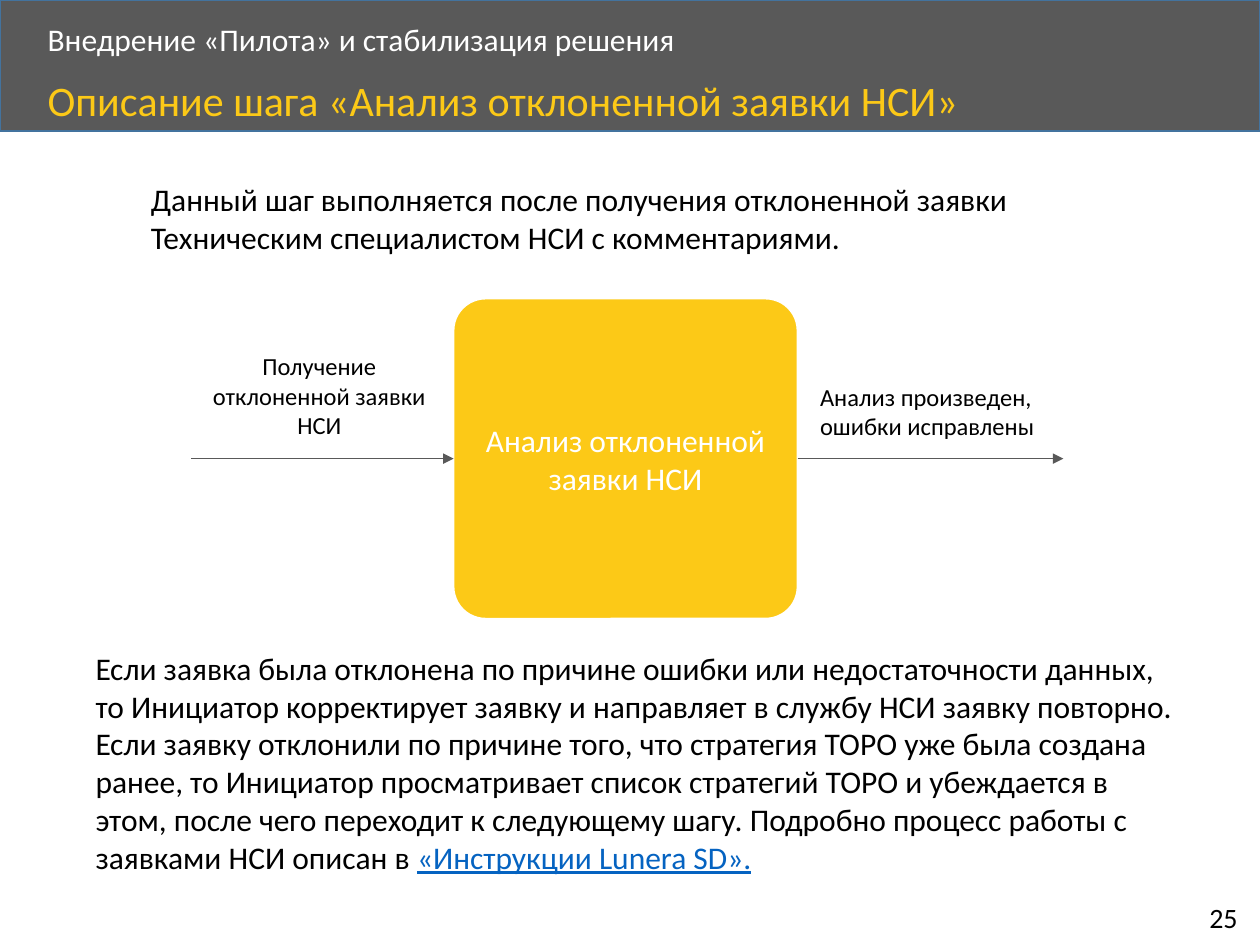
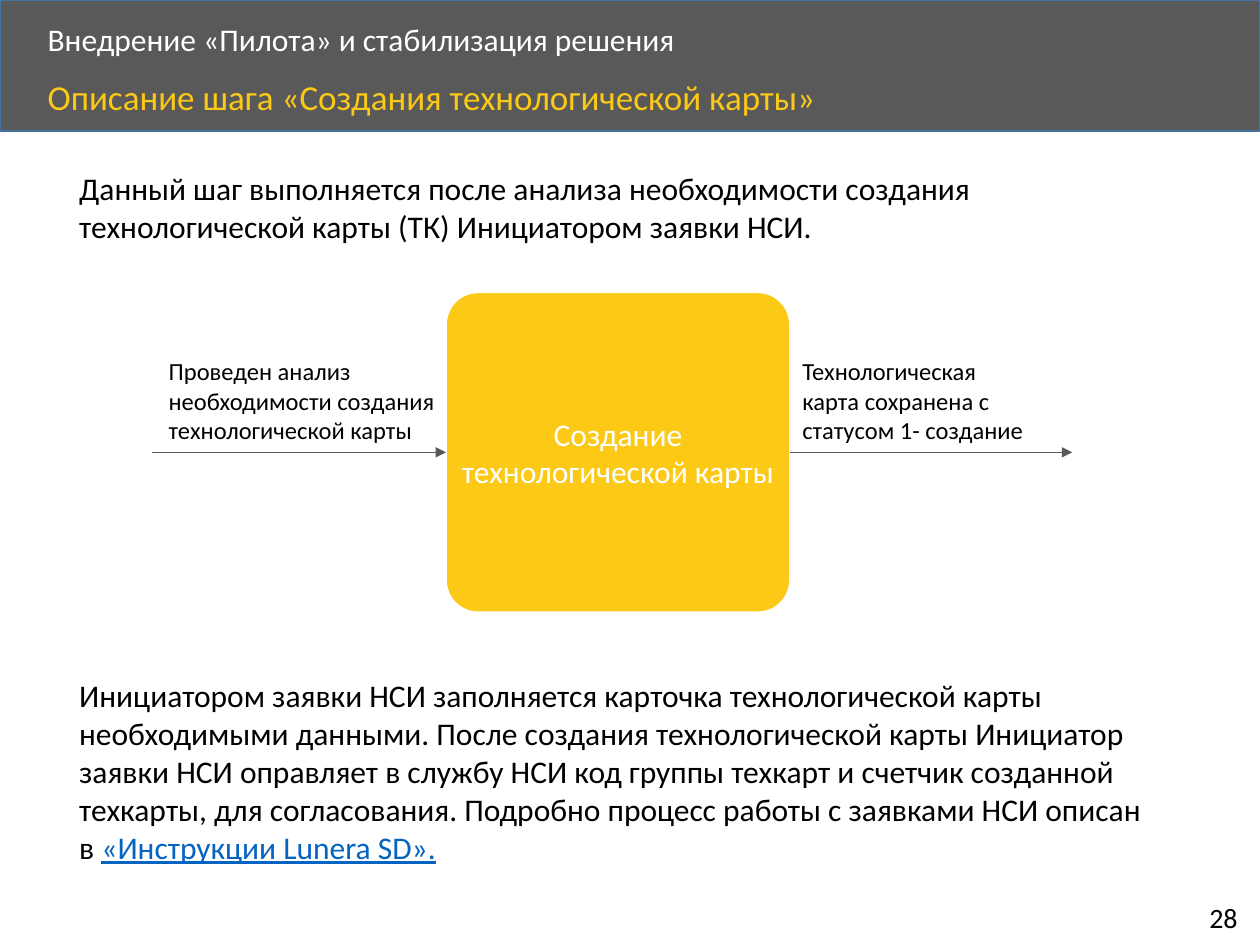
from lxml import etree
from pptx import Presentation
from pptx.dml.color import RGBColor
from pptx.enum.shapes import MSO_CONNECTOR, MSO_SHAPE
from pptx.enum.text import MSO_ANCHOR, PP_ALIGN
from pptx.oxml.ns import qn
from pptx.util import Inches, Pt

RECT, ROUNDED = MSO_SHAPE.RECTANGLE, MSO_SHAPE.ROUNDED_RECTANGLE
STRAIGHT = MSO_CONNECTOR.STRAIGHT
TOP, MIDDLE = MSO_ANCHOR.TOP, MSO_ANCHOR.MIDDLE
LEFT, CENTER = PP_ALIGN.LEFT, PP_ALIGN.CENTER

FONT = "Calibri"
GREY, YELLOW, WHITE, BLACK = "595959", "FCC917", "FFFFFF", "000000"
BORDER, LINK = "43739E", "0563C1"
SECTION = "Внедрение «Пилота» и стабилизация решения"
MANUAL = "«Инструкции Lunera SD»."
STEP_W, STEP_H = 2.73, 2.54


def rgb(color):
    return RGBColor.from_string(color)


def write(shape, text, size, color=BLACK, align=LEFT, anchor=TOP, spacing=None):
    tf = shape.text_frame
    tf.word_wrap = True
    tf.vertical_anchor = anchor
    tf.text = text
    p = tf.paragraphs[0]
    p.alignment = align
    p.line_spacing = spacing
    p.font.name = FONT
    p.font.size = Pt(size)
    p.runs[0].font.color.rgb = rgb(color)
    return tf


# Boxes are (left, top, width, height) in inches
slides = [
    {
        "number": "25",
        "title": "Описание шага «Анализ отклоненной заявки НСИ»",
        "title_size": 24,
        "step": "Анализ отклоненной заявки НСИ",
        "step_at": (3.6, 2.37),
        "arrow_ends": (1.52, 8.44),
        "labels": [
            ("Получение отклоненной заявки НСИ", (1.55, 2.74, 1.97, 0.81), CENTER),
            ("Анализ произведен, ошибки исправлены", (6.41, 2.98, 2.05, 0.57), LEFT),
        ],
        "intro": "Данный шаг выполняется после получения отклоненной заявки "
                 "Техническим специалистом НСИ с комментариями.",
        "intro_box": (1.1, 1.38, 7.97, 0.71),
        "details": "Если заявка была отклонена по причине ошибки или недостаточности "
                   "данных, то Инициатор корректирует заявку и направляет в службу НСИ "
                   "заявку повторно. Если заявку отклонили по причине того, что стратегия "
                   "ТОРО уже была создана ранее, то Инициатор просматривает список "
                   "стратегий ТОРО и убеждается в этом, после чего переходит к следующему "
                   "шагу. Подробно процесс работы c заявками НСИ описан в ",
        "details_box": (0.66, 5.1, 8.85, 1.92),
    },
    {
        "number": "28",
        "title": "Описание шага «Создания технологической карты»",
        "title_size": 20,
        "step": "Создание технологической карты",
        "step_at": (3.54, 2.32),
        "arrow_ends": (1.21, 8.51),
        "labels": [
            ("Проведен анализ необходимости создания технологической карты",
             (1.24, 2.78, 2.41, 0.81), LEFT),
            ("Технологическая карта сохранена с статусом 1- создание",
             (6.27, 2.78, 2.03, 0.81), LEFT),
        ],
        "intro": "Данный шаг выполняется после анализа необходимости создания "
                 "технологической карты (ТК) Инициатором заявки НСИ.",
        "intro_box": (0.53, 1.29, 8.88, 0.71),
        "details": "Инициатором заявки НСИ заполняется карточка технологической карты "
                   "необходимыми данными. После создания технологической карты Инициатор "
                   "заявки НСИ оправляет в службу НСИ код группы техкарт и счетчик "
                   "созданной техкарты, для согласования. Подробно процесс работы "
                   "c заявками НСИ описан в ",
        "details_box": (0.53, 5.32, 8.71, 1.56),
    },
]

prs = Presentation()
prs.slide_width, prs.slide_height = Inches(10), Inches(7.5)

for content in slides:
    s = prs.slides.add_slide(prs.slide_layouts[6])

    # Header band
    band = s.shapes.add_shape(RECT, 0, 0, prs.slide_width, Inches(1.04))
    band.shadow.inherit = False
    band.fill.solid()
    band.fill.fore_color.rgb = rgb(GREY)
    band.line.color.rgb = rgb(BORDER)
    band.line.width = Pt(1)

    # Section, title and page number
    sp = s.shapes.add_textbox(Inches(0.28), Inches(0.14), Inches(8.07), Inches(0.38))
    write(sp, SECTION, 18, WHITE, anchor=MIDDLE, spacing=0.9)
    sp = s.shapes.add_textbox(Inches(0.28), Inches(0.59), Inches(8.67), Inches(0.45))
    write(sp, content["title"], content["title_size"], YELLOW, spacing=0.9)
    sp = s.shapes.add_textbox(Inches(9.5), Inches(7.1), Inches(0.46), Inches(0.37))
    write(sp, content["number"], 16)

    # Introduction
    sp = s.shapes.add_textbox(*map(Inches, content["intro_box"]))
    write(sp, content["intro"], 18)

    # Process step
    left, top = content["step_at"]
    step = s.shapes.add_shape(ROUNDED, *map(Inches, (left, top, STEP_W, STEP_H)))
    step.adjustments[0] = 0.1
    step.shadow.inherit = False
    step.fill.solid()
    step.fill.fore_color.rgb = rgb(YELLOW)
    step.line.color.rgb = rgb(WHITE)
    step.line.width = Pt(1)
    tf = write(step, content["step"], 18, WHITE, CENTER, MIDDLE)
    tf.margin_left = tf.margin_right = 0

    # Arrows into and out of the step
    start, end = content["arrow_ends"]
    middle = Inches(top + STEP_H / 2)
    arrow_in = s.shapes.add_connector(STRAIGHT, Inches(start), middle, Inches(left), middle)
    arrow_in.end_connect(step, 1)
    arrow_out = s.shapes.add_connector(
        STRAIGHT, Inches(left + STEP_W), middle, Inches(end), middle)
    arrow_out.begin_connect(step, 3)
    for arrow in (arrow_in, arrow_out):
        arrow.line.color.rgb = rgb(GREY)
        arrow.line.width = Pt(0.5)
        etree.SubElement(arrow.line._get_or_add_ln(), qn("a:tailEnd"), type="triangle")
        etree.SubElement(arrow._element.spPr, qn("a:effectLst"))

    # Arrow labels
    for text, box, align in content["labels"]:
        sp = s.shapes.add_textbox(*map(Inches, box))
        write(sp, text, 14, align=align)

    # Details with the reference to the manual
    sp = s.shapes.add_textbox(*map(Inches, content["details_box"]))
    tf = write(sp, content["details"], 18)
    r = tf.paragraphs[0].add_run()
    r.text = MANUAL
    r.font.color.rgb = rgb(LINK)
    r.font.underline = True

prs.save("out.pptx")
